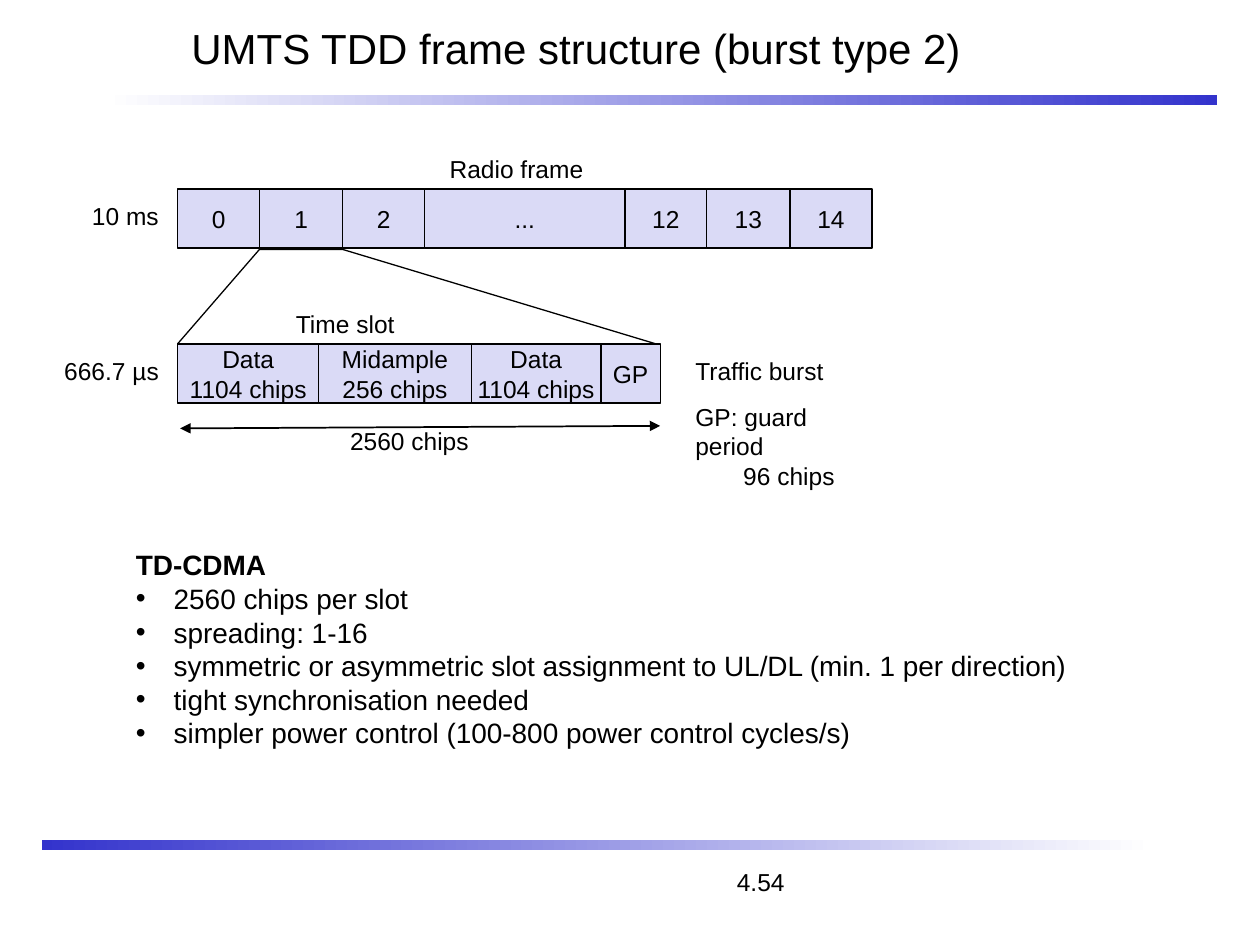
from dataclasses import dataclass
from itertools import accumulate

from pptx import Presentation
from pptx.dml.color import RGBColor
from pptx.enum.shapes import MSO_CONNECTOR as Connector, MSO_SHAPE as Preset
from pptx.enum.text import MSO_ANCHOR as Anchor, PP_ALIGN as Align
from pptx.oxml.ns import qn
from pptx.util import Inches, Pt
from lxml.etree import SubElement

BLACK = RGBColor(0x00, 0x00, 0x00)
WHITE = RGBColor(0xFF, 0xFF, 0xFF)
BLUE = RGBColor(0x33, 0x33, 0xCC)
LAVENDER = RGBColor(0xDA, 0xDA, 0xF6)

FRAME_LEFT = 1.41
CELL_HEIGHT = 0.47
FRAME_TOP = 1.5
SLOT_TOP = 2.73


@dataclass
class Label:
    text: str
    left: float
    top: float
    width: float
    height: float = 0.34
    size: int = 14
    align: Align = Align.LEFT
    anchor: Anchor = Anchor.TOP
    wrap: bool = False


@dataclass
class Cell:
    text: str
    width: float


@dataclass
class Bar:
    left: float
    top: float
    start: RGBColor
    end: RGBColor


BARS = [Bar(0.83, 0.75, WHITE, BLUE), Bar(0.33, 6.67, BLUE, WHITE)]

RADIO_FRAME = [
    Cell("0", 0.65), Cell("1", 0.66), Cell("2", 0.65), Cell("...", 1.59),
    Cell("12", 0.65), Cell("13", 0.66), Cell("14", 0.65),
]
TIME_SLOT = [
    Cell("Data\n1104 chips", 1.12), Cell("Midample\n256 chips", 1.21),
    Cell("Data\n1104 chips", 1.03), Cell("GP", 0.47),
]

LABELS = [
    Label("UMTS TDD frame structure (burst type 2)", 1.42, 0, 8.42, 0.75,
          size=24, anchor=Anchor.MIDDLE, wrap=True),
    Label("Radio frame", 3.47, 1.17, 1.26),
    Label("Time slot", 2.25, 2.4, 0.99),
    Label("10 ms", 0.63, 1.55, 0.73, align=Align.RIGHT),
    Label("666.7 µs", 0.41, 2.78, 0.95, align=Align.RIGHT, wrap=True),
    Label("Traffic burst", 5.42, 2.78, 1.23),
    Label("2560 chips", 2.68, 3.33, 1.14),
    Label("4.54", 5.75, 6.83, 1, wrap=True),
]
GUARD_PERIOD = Label("GP: guard period\n96 chips", 5.42, 3.14, 1.68, 0.57)
FEATURES = Label(
    "TD-CDMA\n"
    "2560 chips per slot\n"
    "spreading: 1-16\n"
    "symmetric or asymmetric slot assignment to UL/DL (min. 1 per direction)\n"
    "tight synchronisation needed\n"
    "simpler power control (100-800 power control cycles/s)",
    0.98, 4.3, 8.48, 1.7, size=16, wrap=True)


def set_text(shape, text: str, size: int, align: Align, anchor: Anchor, wrap: bool):
    frame = shape.text_frame
    frame.text = text
    frame.word_wrap = wrap
    frame.vertical_anchor = anchor
    font_format = {"name": "Arial", "size": Pt(size), "bold": False}
    for paragraph in frame.paragraphs:
        paragraph.alignment = align
        for name, value in font_format.items():
            setattr(paragraph.font, name, value)
        paragraph.font.color.rgb = BLACK
    return frame


def add_label(slide, label: Label):
    box = slide.shapes.add_textbox(Inches(label.left), Inches(label.top),
                                   Inches(label.width), Inches(label.height))
    return set_text(box, label.text, label.size, label.align, label.anchor, label.wrap)


def add_bar(slide, bar: Bar) -> None:
    shape = slide.shapes.add_shape(Preset.RECTANGLE, Inches(bar.left), Inches(bar.top),
                                   Inches(8.83), Inches(0.08))
    shape.shadow.inherit = False
    shape.line.fill.background()
    shape.fill.gradient()
    shape.fill.gradient_angle = 0
    for stop, color, position in zip(shape.fill.gradient_stops, (bar.start, bar.end), (0, 1)):
        stop.color.rgb = color
        stop.position = position


def set_outline(shape) -> None:
    shape.shadow.inherit = False
    shape.line.color.rgb = BLACK
    shape.line.width = Pt(0.75)


def add_cells(slide, cells: list[Cell], top: float) -> None:
    lefts = accumulate((cell.width for cell in cells), initial=FRAME_LEFT)
    for cell, left in zip(cells, lefts):
        shape = slide.shapes.add_shape(Preset.RECTANGLE, Inches(left), Inches(top),
                                       Inches(cell.width), Inches(CELL_HEIGHT))
        set_outline(shape)
        shape.fill.solid()
        shape.fill.fore_color.rgb = LAVENDER
        set_text(shape, cell.text, 14, Align.CENTER, Anchor.MIDDLE, False)


def add_zoom(slide) -> None:
    builder = slide.shapes.build_freeform(Inches(FRAME_LEFT), Inches(SLOT_TOP))
    corners = [(2.06, 1.98), (2.72, 1.98), (5.24, 2.74)]
    builder.add_line_segments([(Inches(x), Inches(y)) for x, y in corners], close=True)
    outline = builder.convert_to_shape()
    outline.fill.background()
    set_outline(outline)


def add_double_arrow(slide) -> None:
    arrow = slide.shapes.add_connector(Connector.STRAIGHT, Inches(1.43), Inches(3.4),
                                       Inches(5.24), Inches(3.38))
    arrow.line.color.rgb = BLACK
    arrow.line.width = Pt(1)
    line = arrow.line._get_or_add_ln()
    for end in ("a:headEnd", "a:tailEnd"):
        SubElement(line, qn(end), type="triangle")
    SubElement(arrow._element.spPr, qn("a:effectLst"))


def add_bullet(paragraph) -> None:
    properties = paragraph._p.get_or_add_pPr()
    properties.set("marL", str(Inches(0.3)))
    properties.set("indent", str(-Inches(0.3)))
    bullet_font = {"typeface": "Arial"}
    properties.insert(0, properties.makeelement(qn("a:buFont"), bullet_font))
    properties.insert(1, properties.makeelement(qn("a:buChar"), {"char": "•"}))


def main() -> None:
    presentation = Presentation()
    presentation.slide_width = Inches(10)
    presentation.slide_height = Inches(7.5)
    slide = presentation.slides.add_slide(presentation.slide_layouts[6])

    # Header and footer bars
    for bar in BARS:
        add_bar(slide, bar)

    # Radio frame with one slot enlarged
    add_zoom(slide)
    add_cells(slide, RADIO_FRAME, FRAME_TOP)
    add_cells(slide, TIME_SLOT, SLOT_TOP)
    add_double_arrow(slide)

    # Title, labels and page number
    for label in LABELS:
        add_label(slide, label)
    guard = add_label(slide, GUARD_PERIOD)
    guard.paragraphs[1]._p.get_or_add_pPr().set("marL", str(Inches(0.38)))

    # Feature list
    heading, *features = add_label(slide, FEATURES).paragraphs
    heading.font.bold = True
    for paragraph in features:
        add_bullet(paragraph)

    presentation.save("out.pptx")


if __name__ == "__main__":
    main()
